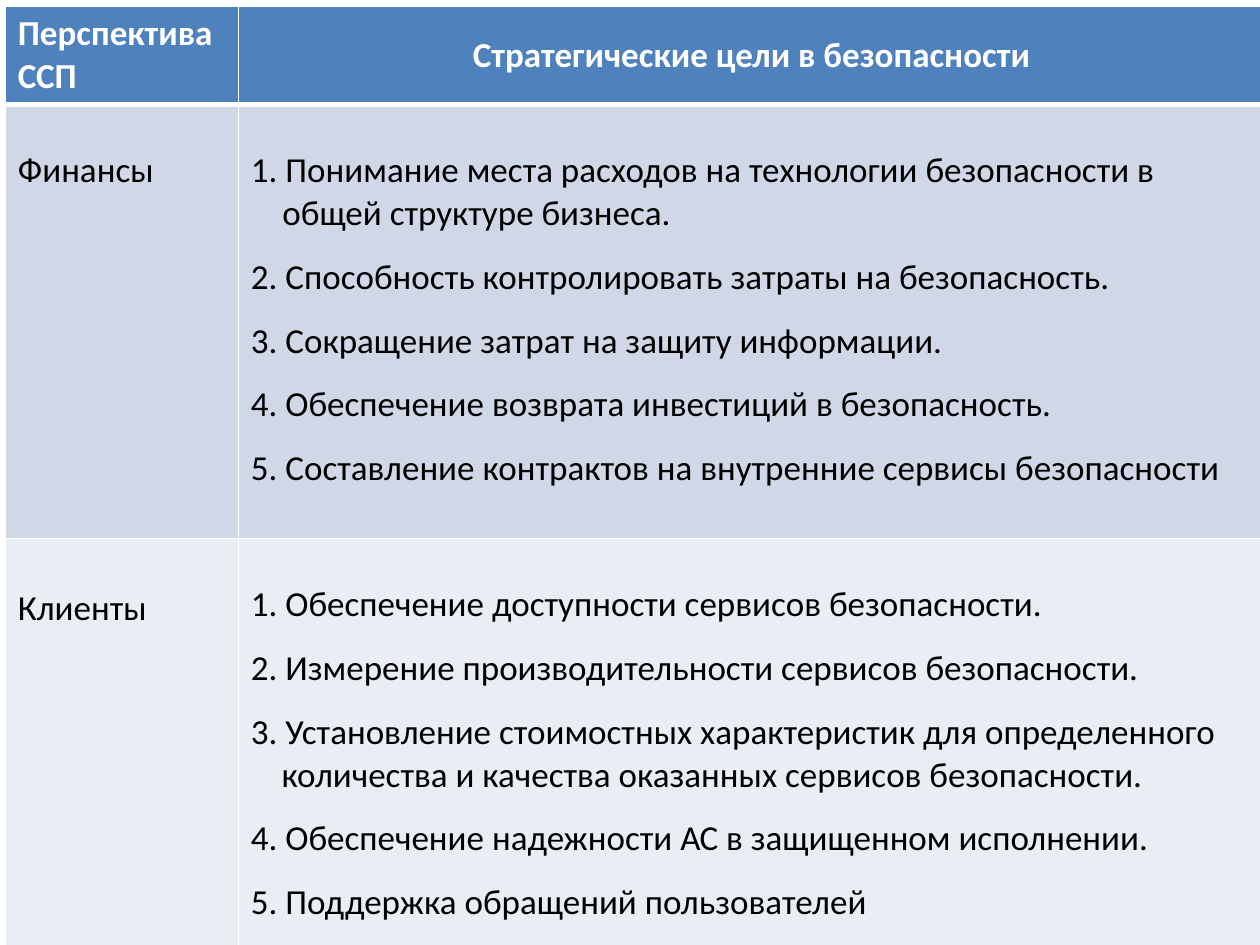
from pptx import Presentation
from pptx.dml.color import RGBColor as Color
from pptx.enum.text import MSO_ANCHOR as Anchor, PP_ALIGN as Align
from pptx.oxml import parse_xml
from pptx.oxml.ns import nsdecls
from pptx.util import Pt

COLUMN_WIDTHS = (133.2, 586.8)
ROW_HEIGHTS = (56, 248, 238)
HEADERS = ("Перспектива ССП", "Стратегические цели в безопасности")
FINANCE_GOALS = (
    "1. Понимание места расходов на технологии безопасности в общей структуре бизнеса.",
    "2. Способность контролировать затраты на безопасность.",
    "3. Сокращение затрат на защиту информации.",
    "4. Обеспечение возврата инвестиций в безопасность.",
    "5. Составление контрактов на внутренние сервисы безопасности",
)
CLIENT_GOALS = (
    "1. Обеспечение доступности сервисов безопасности.",
    "2. Измерение производительности сервисов безопасности.",
    "3. Установление стоимостных характеристик для определенного "
    "количества и качества оказанных сервисов безопасности.",
    "4. Обеспечение надежности АС в защищенном исполнении.",
    "5. Поддержка обращений пользователей",
)


def rgb(value):
    """Turn a hex string into a colour."""
    return Color.from_string(value)


def apply(target, values):
    """Set each attribute named in a dict of format values."""
    for name, value in values.items():
        setattr(target, name, value)


def draw_borders(cell, top, bottom):
    """Give a cell white borders, 1 point wide at the sides."""
    properties = cell._tc.get_or_add_tcPr()
    widths = {"lnL": 1, "lnR": 1, "lnT": top, "lnB": bottom}
    for index, (tag, width) in enumerate(widths.items()):
        line = parse_xml(
            f'<a:{tag} {nsdecls("a")} w="{Pt(width)}"><a:solidFill>'
            f'<a:srgbClr val="FFFFFF"/></a:solidFill></a:{tag}>'
        )
        properties.insert(index, line)


def paint_cell(cell, fill, top=1, bottom=1):
    """Fill a cell and draw its borders."""
    cell.fill.solid()
    cell.fill.fore_color.rgb = rgb(fill)
    draw_borders(cell, top, bottom)


def write_cell(cell, lines, colour="000000", bold=False, align=Align.LEFT, indent=0):
    """Write one paragraph per line with a hanging indent."""
    frame = cell.text_frame
    for index, line in enumerate(lines):
        para = frame.add_paragraph() if index else frame.paragraphs[0]
        apply(para, {"alignment": align, "space_before": Pt(12 if index else 0)})
        if indent:
            properties = para._p.get_or_add_pPr()
            properties.set("marL", str(Pt(indent)))
            properties.set("indent", str(Pt(-indent)))
        span = para.add_run()
        span.text = line
        apply(span.font, {"name": "Calibri", "size": Pt(20), "bold": bold})
        span.font.color.rgb = rgb(colour)


def add_grid(page):
    """Add the plain table with its column widths and row heights."""
    frame = page.shapes.add_table(
        len(ROW_HEIGHTS), len(COLUMN_WIDTHS), Pt(3), Pt(3.6),
        Pt(sum(COLUMN_WIDTHS)), Pt(sum(ROW_HEIGHTS)),
    )
    table = frame.table
    apply(table, {"first_row": False, "horz_banding": False})
    for column, width in zip(table.columns, COLUMN_WIDTHS):
        column.width = Pt(width)
    for row, height in zip(table.rows, ROW_HEIGHTS):
        row.height = Pt(height)
    return table


def fill_header(row):
    """Write the header row."""
    name, goals = row.cells
    write_cell(name, HEADERS[:1], "FFFFFF", True)
    write_cell(goals, HEADERS[1:], "FFFFFF", True, Align.CENTER)
    goals.vertical_anchor = Anchor.MIDDLE
    for cell in row.cells:
        paint_cell(cell, "4F81BD", bottom=3)


def fill_perspective(row, name, goals, fill, name_top, indent, top_border):
    """Write one perspective and its numbered goals."""
    name_cell, goals_cell = row.cells
    write_cell(name_cell, [name])
    write_cell(goals_cell, goals, indent=indent)
    name_cell.margin_top = Pt(name_top)
    goals_cell.margin_top = Pt(25.4)
    for cell in row.cells:
        paint_cell(cell, fill, top=top_border)


def main():
    """Build and save the slide."""
    deck = Presentation()
    apply(deck, {"slide_width": Pt(720), "slide_height": Pt(540)})
    page = deck.slides.add_slide(deck.slide_layouts[6])
    header, finance, clients = add_grid(page).rows
    fill_header(header)
    fill_perspective(finance, "Финансы", FINANCE_GOALS, "D0D8E8", 25.4, 18, 3)
    fill_perspective(clients, "Клиенты", CLIENT_GOALS, "E9EDF4", 27.8, 17.5, 1)
    deck.save("out.pptx")


main()
